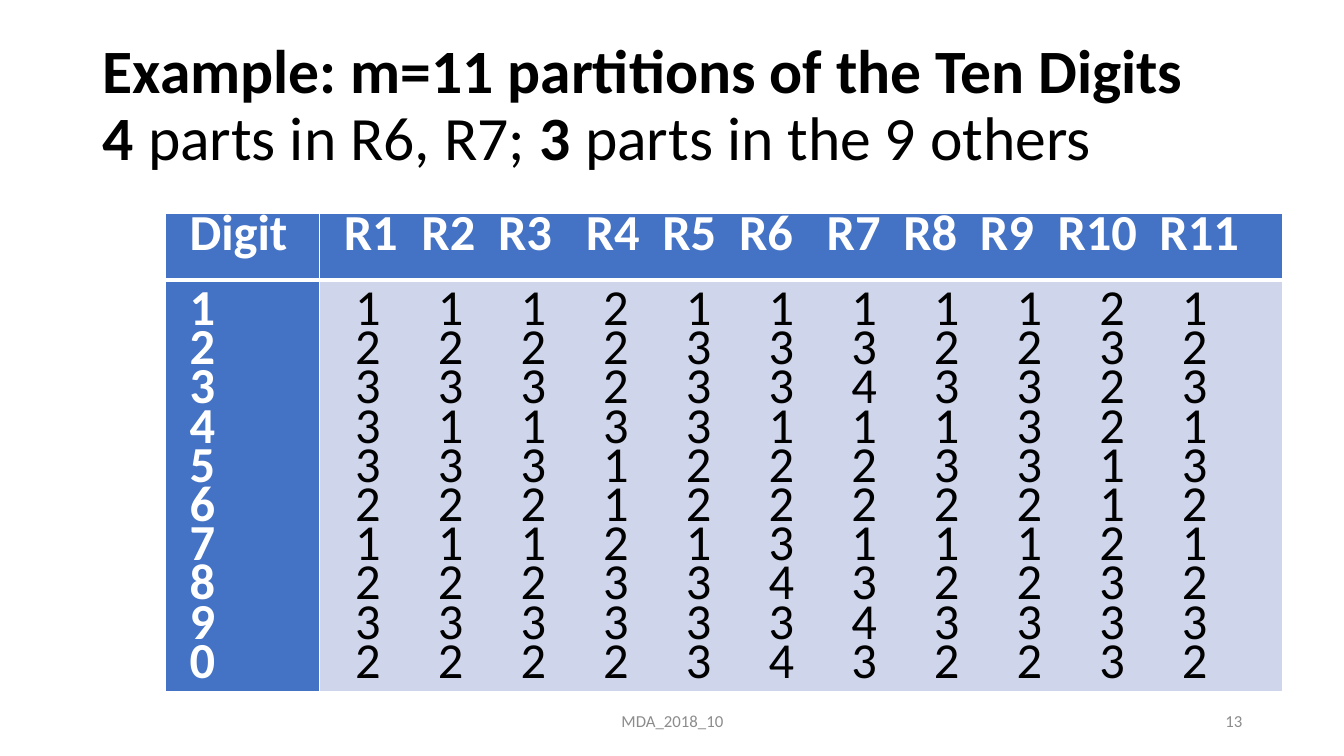
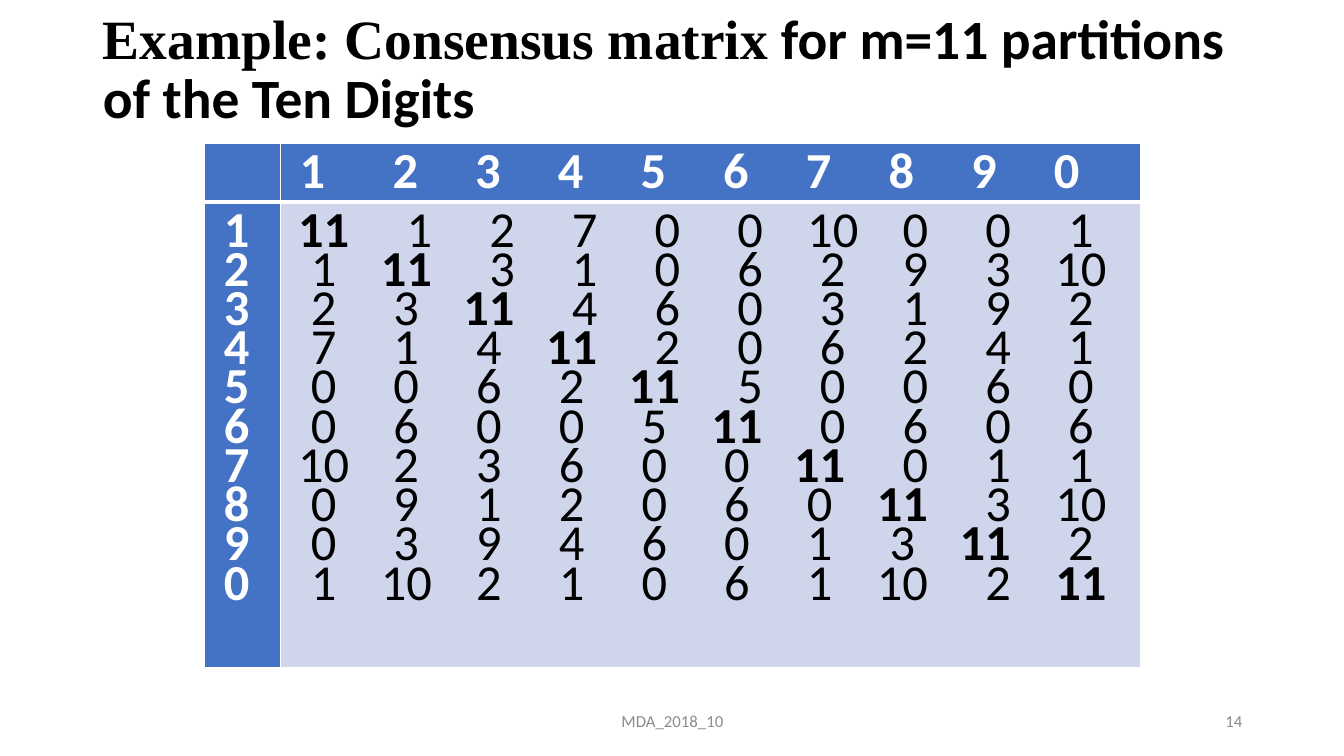
from dataclasses import dataclass

import lxml.etree
import pptx
import pptx.dml.color
import pptx.enum.text
import pptx.oxml.ns
import pptx.util

Inches, Pt = pptx.util.Inches, pptx.util.Pt
ALIGN = pptx.enum.text.PP_ALIGN
ANCHOR = pptx.enum.text.MSO_ANCHOR
qn = pptx.oxml.ns.qn


@dataclass(frozen=True)
class Theme:
    blue: str = "4472C4"
    pale: str = "CFD5EA"
    white: str = "FFFFFF"
    black: str = "000000"
    grey: str = "8C8C8C"
    font: str = "Calibri"
    serif: str = "Times New Roman"
    cell_size: float = 36
    footer_size: float = 12
    row_pitch: float = 28  # points from one digit row to the next
    body_top: float = 14  # points above the first digit row
    indent: float = 0.17
    thin: float = 1
    thick: float = 3


THEME = Theme()
WIDTH, HEIGHT = 13.33, 7.5
FIRST_CENTRE, PITCH, SHIFT = 0.41, 0.82, 0.13
DIGITS = "1234567890"


@dataclass(frozen=True)
class Span:
    text: str
    bold: bool = False
    font: str = THEME.font


@dataclass(frozen=True)
class Line:
    """One row of values, each at its own tab stop."""
    values: list[str]
    stops: list[float]
    align: str = "ctr"
    bold_at: int | None = None


@dataclass(frozen=True)
class DigitTable:
    left: float
    top: float
    columns: tuple[float, float]
    rows: tuple[float, float]
    inset: float
    header_pitch: float
    corner: str
    header: Line
    body: list[Line]


@dataclass(frozen=True)
class Page:
    number: int
    title_box: tuple[float, float, float, float]
    title_size: float
    title: list[list[Span]]
    table: DigitTable


def write(paragraph, text: str, *, size: float, color: str,
          bold: bool = False, font: str = THEME.font) -> None:
    run = paragraph.add_run()
    run.text = text
    run.font.size, run.font.bold, run.font.name = Pt(size), bold, font
    run.font.color.rgb = pptx.dml.color.RGBColor.from_string(color)


def add_title(slide, page: Page) -> None:
    title = slide.shapes.title
    title.left, title.top, title.width, title.height = map(Inches, page.title_box)
    frame = title.text_frame
    frame.auto_size = pptx.enum.text.MSO_AUTO_SIZE.NONE
    frame.word_wrap = True
    frame.vertical_anchor = ANCHOR.MIDDLE
    heading = frame.paragraphs[0]
    heading.alignment, heading.line_spacing = ALIGN.LEFT, 0.9
    for index, spans in enumerate(page.title):
        if index:
            heading.add_line_break()
        for span in spans:
            write(heading, span.text, size=page.title_size, color=THEME.black,
                  bold=span.bold, font=span.font)


def add_footer(slide, text: str, left: float, width: float, align) -> None:
    footer = slide.shapes.add_textbox(*map(Inches, (left, 6.95, width, 0.4)))
    frame = footer.text_frame
    frame.word_wrap = True
    frame.vertical_anchor = ANCHOR.MIDDLE
    frame.paragraphs[0].alignment = align
    write(frame.paragraphs[0], text, size=THEME.footer_size, color=THEME.grey)


def set_borders(cell, top: float, bottom: float) -> None:
    properties = cell._tc.get_or_add_tcPr()
    sides = {"lnL": THEME.thin, "lnR": THEME.thin, "lnT": top, "lnB": bottom}
    for side, weight in sides.items():
        edge = lxml.etree.SubElement(properties, qn(f"a:{side}"), w=str(Pt(weight)))
        fill = lxml.etree.SubElement(edge, qn("a:solidFill"))
        lxml.etree.SubElement(fill, qn("a:srgbClr"), val=THEME.white)


def style_cell(cell, fill: str, is_header: bool, inset: float, top: float) -> None:
    if is_header:
        set_borders(cell, THEME.thin, THEME.thick)
    else:
        set_borders(cell, THEME.thick, THEME.thin)
    cell.fill.solid()
    cell.fill.fore_color.rgb = pptx.dml.color.RGBColor.from_string(fill)
    cell.margin_left, cell.margin_right = Inches(inset), Inches(inset)
    cell.margin_top, cell.margin_bottom = Pt(top), 0
    cell.vertical_anchor = ANCHOR.TOP


def next_paragraph(cell, index: int, pitch: float):
    frame = cell.text_frame
    paragraph = frame.add_paragraph() if index else frame.paragraphs[0]
    paragraph.alignment, paragraph.line_spacing = ALIGN.LEFT, Pt(pitch)
    return paragraph


def write_labels(cell, labels: str | list[str], pitch: float) -> None:
    cell.margin_left += Inches(THEME.indent)
    for index, label in enumerate(labels):
        write(next_paragraph(cell, index, pitch), label, size=THEME.cell_size,
              color=THEME.white, bold=True)


def write_lines(cell, lines: list[Line], pitch: float, color: str, bold: bool) -> None:
    for index, line in enumerate(lines):
        paragraph = next_paragraph(cell, index, pitch)
        tabs = lxml.etree.SubElement(paragraph._p.get_or_add_pPr(), qn("a:tabLst"))
        for stop in line.stops:
            lxml.etree.SubElement(tabs, qn("a:tab"), pos=str(Inches(stop)),
                                  algn=line.align)
        for column, value in enumerate(line.values):
            write(paragraph, "\t" + value, size=THEME.cell_size, color=color,
                  bold=bold or column == line.bold_at)


def add_digit_table(slide, spec_table: DigitTable) -> None:
    data = spec_table
    table = slide.shapes.add_table(
        2, 2, Inches(data.left), Inches(data.top),
        Inches(sum(data.columns)), Inches(sum(data.rows))).table
    table.horz_banding = False
    for index in range(2):
        table.columns[index].width = Inches(data.columns[index])
        table.rows[index].height = Inches(data.rows[index])
    for row in range(2):
        for column in range(2):
            style_cell(table.cell(row, column),
                       THEME.pale if row and column else THEME.blue,
                       row == 0, data.inset, THEME.body_top if row else 0)
    if data.corner:
        write_labels(table.cell(0, 0), [data.corner], data.header_pitch)
    write_labels(table.cell(1, 0), DIGITS, THEME.row_pitch)
    write_lines(table.cell(0, 1), [data.header], data.header_pitch, THEME.white, True)
    write_lines(table.cell(1, 1), data.body, THEME.row_pitch, THEME.black, False)


def even_stops(count: int, first: float = FIRST_CENTRE) -> list[float]:
    return [first + PITCH * index for index in range(count)]


# Class of each digit in the partitions R1 to R11
PARTITIONS = ["11121111121", "22223332232", "33323343323", "31133111321",
              "33312223313", "22212222212", "11121311121", "22233432232",
              "33333343333", "22223432232"]

# How many partitions put two digits together
CONSENSUS = ["11 1 2 7 0 0 10 0 0 1", "1 11 3 1 0 6 2 9 3 10",
             "2 3 11 4 6 0 3 1 9 2", "7 1 4 11 2 0 6 2 4 1",
             "0 0 6 2 11 5 0 0 6 0", "0 6 0 0 5 11 0 6 0 6",
             "10 2 3 6 0 0 11 0 1 1", "0 9 1 2 0 6 0 11 3 10",
             "0 3 9 4 6 0 1 3 11 2", "1 10 2 1 0 6 1 10 2 11"]
SHIFT_FROM = [*range(1, 10), 8]  # first column set further right in each row


def consensus_line(row: int, values: str) -> Line:
    stops = [stop + SHIFT * (column >= SHIFT_FROM[row])
             for column, stop in enumerate(even_stops(len(DIGITS)))]
    return Line(values.split(), stops, bold_at=row)


PAGES = [
    Page(13, (0.92, 0.3, 11.5, 1.52), 44,
         [[Span("Example: m=11 partitions of the Ten Digits", True)],
          [Span("4", True), Span(" parts in R6, R7; "),
           Span("3", True), Span(" parts in the 9 others")]],
         DigitTable(
             1.64, 2.12, (1.53, 9.55), (0.66, 4.08), 0.07, 36, "Digit",
             Line([f"R{number}" for number in range(1, 12)],
                  [0.17, 0.94, 1.7, 2.57, 3.33, 4.09, 4.96, 5.72, 6.48, 7.25, 8.26],
                  align="l"),
             [Line(list(values), even_stops(11)) for values in PARTITIONS])),
    Page(14, (0.92, 0.26, 11.5, 0.89), 39.6,
         [[Span("Example: Consensus matrix", True, THEME.serif),
           Span(" for m=11 partitions of the Ten Digits", True)]],
         DigitTable(
             2.03, 1.42, (0.75, 8.53), (0.58, 4.62), 0.02, 42, "",
             Line(list(DIGITS), [0.3, *even_stops(9, 1.22)]),
             [consensus_line(row, values) for row, values in enumerate(CONSENSUS)])),
]


def main() -> None:
    deck = pptx.Presentation()
    deck.slide_width, deck.slide_height = Inches(WIDTH), Inches(HEIGHT)
    title_only = deck.slide_layouts[5]
    for page in PAGES:
        slide = deck.slides.add_slide(title_only)
        add_title(slide, page)
        add_digit_table(slide, page.table)
        add_footer(slide, "MDA_2018_10", 4.42, 4.5, ALIGN.CENTER)
        add_footer(slide, str(page.number), 9.42, 3, ALIGN.RIGHT)
    deck.save("out.pptx")


if __name__ == "__main__":
    main()
